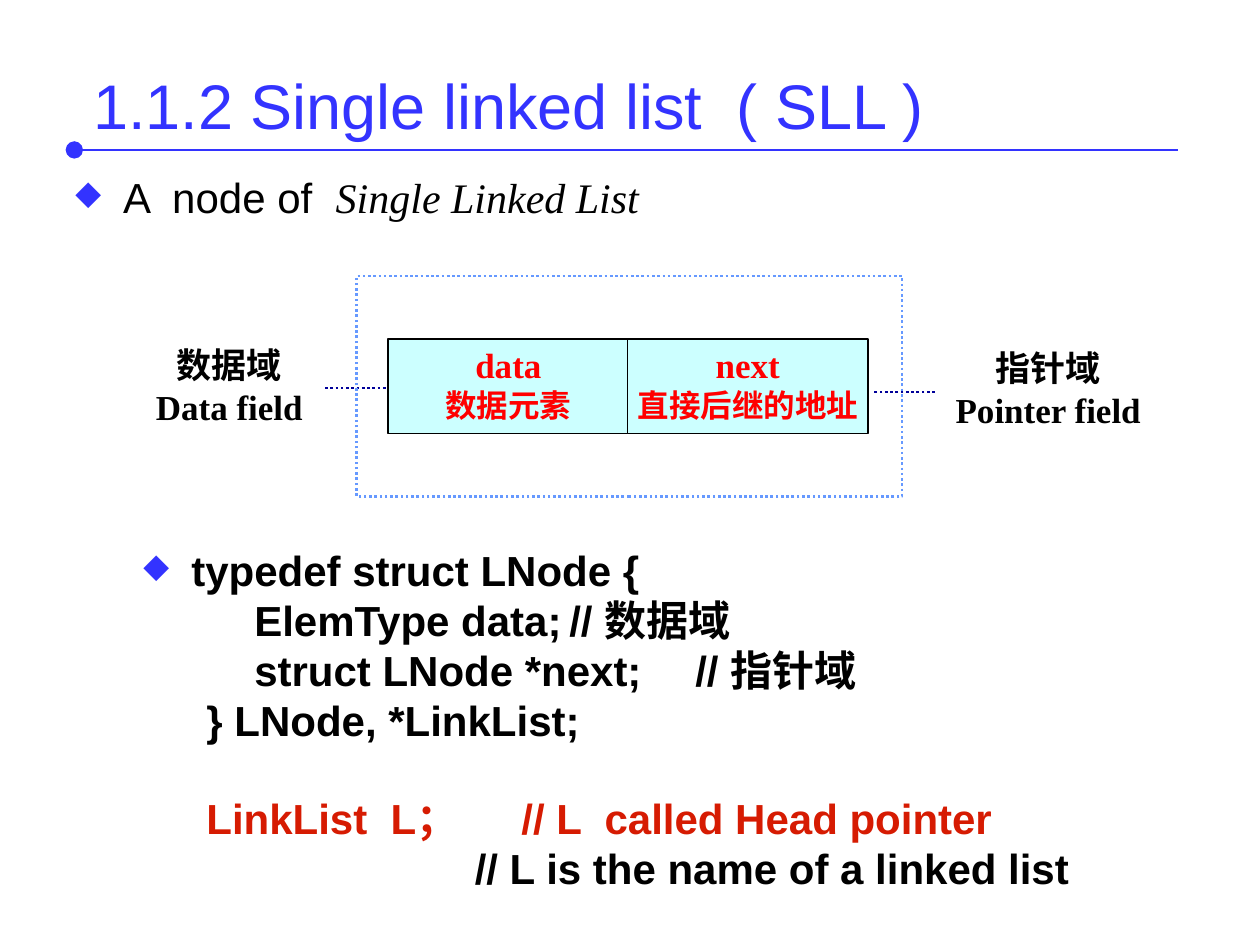
from dataclasses import dataclass
from lxml.etree import SubElement
from pptx import Presentation
from pptx.dml.color import RGBColor
from pptx.enum.dml import MSO_LINE as Dash
from pptx.enum.shapes import MSO_CONNECTOR as Conn, MSO_SHAPE as Kind
from pptx.enum.text import MSO_ANCHOR as Anchor, PP_ALIGN as Align
from pptx.oxml.ns import qn
from pptx.util import Inches, Pt

BLUE, BLACK, RED = "3333FF", "000000", "FF0000"
ARIAL, TIMES = "Arial", "Times New Roman"
PAD = dict(margin_left=Inches(0.1), margin_right=Inches(0.1),
           margin_top=Inches(0.01), margin_bottom=Inches(0.05))


@dataclass
class Cell:
    left: float
    name: str
    note: str


@dataclass
class Label:
    left: float
    top: float
    width: float
    text: str


@dataclass
class Rule:
    start: float
    end: float
    y: float
    color: str
    dash: object = None
    dot: bool = False


@dataclass
class Row:
    text: str
    indent: float
    color: str = BLACK
    before: float = 5.5
    tab: float = 0
    bullet: bool = False


CELLS = [Cell(3.08, "data", "数据元素"), Cell(4.98, "next", "直接后继的地址")]
LABELS = [Label(1.12, 2.72, 1.4, "数据域\vData field"),
          Label(7.42, 2.74, 1.8, "指针域\vPointer field")]
RULES = [Rule(0.59, 9.35, 1.19, BLUE, dot=True),
         Rule(2.58, 3.08, 3.08, "000099", Dash.ROUND_DOT),
         Rule(7.42, 6.92, 3.11, "000099", Dash.ROUND_DOT)]
CODE = [Row("typedef struct LNode {", 0.38, before=0, bullet=True),
        Row("ElemType data;\t// 数据域", 0.88, tab=4.52),
        Row("struct LNode *next;\t// 指针域", 0.88, tab=4.5),
        Row("} LNode, *LinkList;", 0.5),
        Row("LinkList  L；\t// L  called Head pointer", 0.5, "D61B02", 33.3, 2.81),
        Row("// L is the name of a linked list", 2.63)]


def paint(color: str) -> RGBColor:
    """Turn a hex string into a colour."""
    return RGBColor.from_string(color)


def setall(item, values: dict) -> None:
    """Set every attribute in a dict of format values."""
    for key, value in values.items():
        setattr(item, key, value)


def write(para, text: str, size: float, face: str, color: str, **style) -> None:
    """Add formatted text to a paragraph."""
    para.add_line_break() if text == "\v" else None
    for pos, part in enumerate(text.split("\v")):
        if pos:
            para.add_line_break()
        run = para.add_run()
        run.text = part
        setall(run.font, dict(size=Pt(size), name=face, **style))
        run.font.color.rgb = paint(color)


def outline(line, color: str, width: float, dash=None) -> None:
    """Format a line."""
    line.color.rgb = paint(color)
    setall(line, dict(width=Pt(width), dash_style=dash))


def box(slide, left: float, top: float, width: float, height: float, **style):
    """Add a text box and return its frame."""
    frame = slide.shapes.add_textbox(*map(Inches, (left, top, width, height))).text_frame
    setall(frame, dict(word_wrap=True, **style))
    return frame


def rect(slide, left: float, top: float, width: float, height: float):
    """Add a rectangle without shadow."""
    shape = slide.shapes.add_shape(Kind.RECTANGLE, *map(Inches, (left, top, width, height)))
    shape.shadow.inherit = False
    return shape


def layout(para, row: Row) -> None:
    """Set the spacing, indent, bullet and tab stop of a paragraph."""
    setall(para, dict(line_spacing=0.8, space_before=Pt(row.before)))
    props = para._p.get_or_add_pPr()
    props.set("marL", str(Inches(row.indent)))
    props.set("indent", str(Inches(-0.38 if row.bullet else 0)))
    if row.bullet:
        tint = SubElement(props, qn("a:buClr"))
        SubElement(tint, qn("a:srgbClr")).set("val", BLUE)
        SubElement(props, qn("a:buSzPct")).set("val", "80000")
        SubElement(props, qn("a:buChar")).set("char", "◆")
    if row.tab:
        stop = SubElement(SubElement(props, qn("a:tabLst")), qn("a:tab"))
        stop.set("pos", str(Inches(row.tab)))
        stop.set("algn", "l")


def draw_rule(slide, rule: Rule) -> None:
    """Draw a level line."""
    line = slide.shapes.add_connector(
        Conn.STRAIGHT, *map(Inches, (rule.start, rule.y, rule.end, rule.y)))
    outline(line.line, rule.color, 1.5, rule.dash)
    if rule.dot:
        head = SubElement(line.line._get_or_add_ln(), qn("a:headEnd"))
        for key, value in dict(type="oval", w="lg", len="lg").items():
            head.set(key, value)
    SubElement(line._element.spPr, qn("a:effectLst"))


def draw_cell(slide, cell: Cell) -> None:
    """Draw one field of the node."""
    shape = rect(slide, cell.left, 2.69, 1.91, 0.75)
    shape.fill.solid()
    shape.fill.fore_color.rgb = paint("CCFFFF")
    outline(shape.line, BLACK, 0.75)
    frame = shape.text_frame
    setall(frame, dict(word_wrap=False, vertical_anchor=Anchor.MIDDLE, **PAD))
    for para, text, size in ((frame.paragraphs[0], cell.name, 20),
                             (frame.add_paragraph(), cell.note, 18)):
        para.alignment = Align.CENTER
        write(para, text, size, TIMES, RED, bold=True)


def draw_label(slide, label: Label) -> None:
    """Draw the name of a field."""
    para = box(slide, label.left, label.top, label.width, 0.73, **PAD).paragraphs[0]
    para.alignment = Align.CENTER
    write(para, label.text, 20, TIMES, BLACK, bold=True)


def draw_code(slide) -> None:
    """Draw the type definition."""
    frame = box(slide, 1.04, 4.35, 8.49, 2.84)
    for pos, row in enumerate(CODE):
        para = frame.add_paragraph() if pos else frame.paragraphs[0]
        layout(para, row)
        write(para, row.text, 24, ARIAL, row.color, bold=True)


def main() -> None:
    """Build the slide."""
    deck = Presentation()
    setall(deck, dict(slide_width=Inches(10), slide_height=Inches(7.5)))
    slide = deck.slides.add_slide(deck.slide_layouts[5])
    title = slide.shapes.title
    setall(title, dict(left=Inches(0.64), top=Inches(0.39),
                       width=Inches(9), height=Inches(0.88)))
    title.text_frame.vertical_anchor = Anchor.MIDDLE
    head = title.text_frame.paragraphs[0]
    head.alignment = Align.LEFT
    write(head, "1.1.2 Single linked list  ( SLL )", 36, ARIAL, BLUE)
    intro = box(slide, 0.5, 1.39, 9, 0.6).paragraphs[0]
    layout(intro, Row("", 0.38, before=0, bullet=True))
    write(intro, "A  node of  ", 24, ARIAL, BLACK)
    write(intro, "Single Linked List", 24, TIMES, BLACK, italic=True)
    for cell in CELLS:
        draw_cell(slide, cell)
    for label in LABELS:
        draw_label(slide, label)
    for rule in RULES:
        draw_rule(slide, rule)
    frame = rect(slide, 2.83, 2.19, 4.33, 1.75)
    frame.fill.background()
    outline(frame.line, "6699FF", 1.5, Dash.ROUND_DOT)
    draw_code(slide)
    deck.save("out.pptx")


main()
